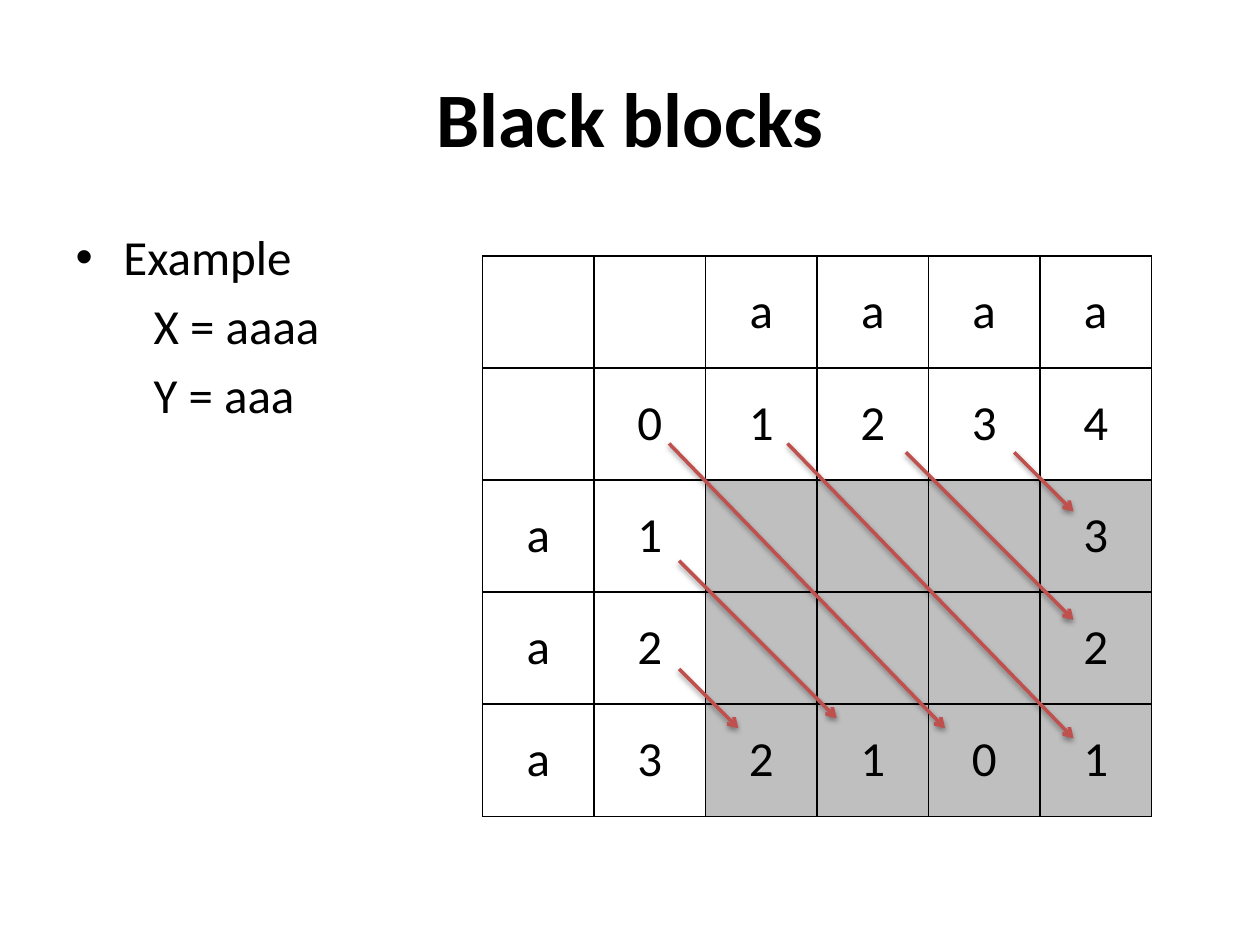
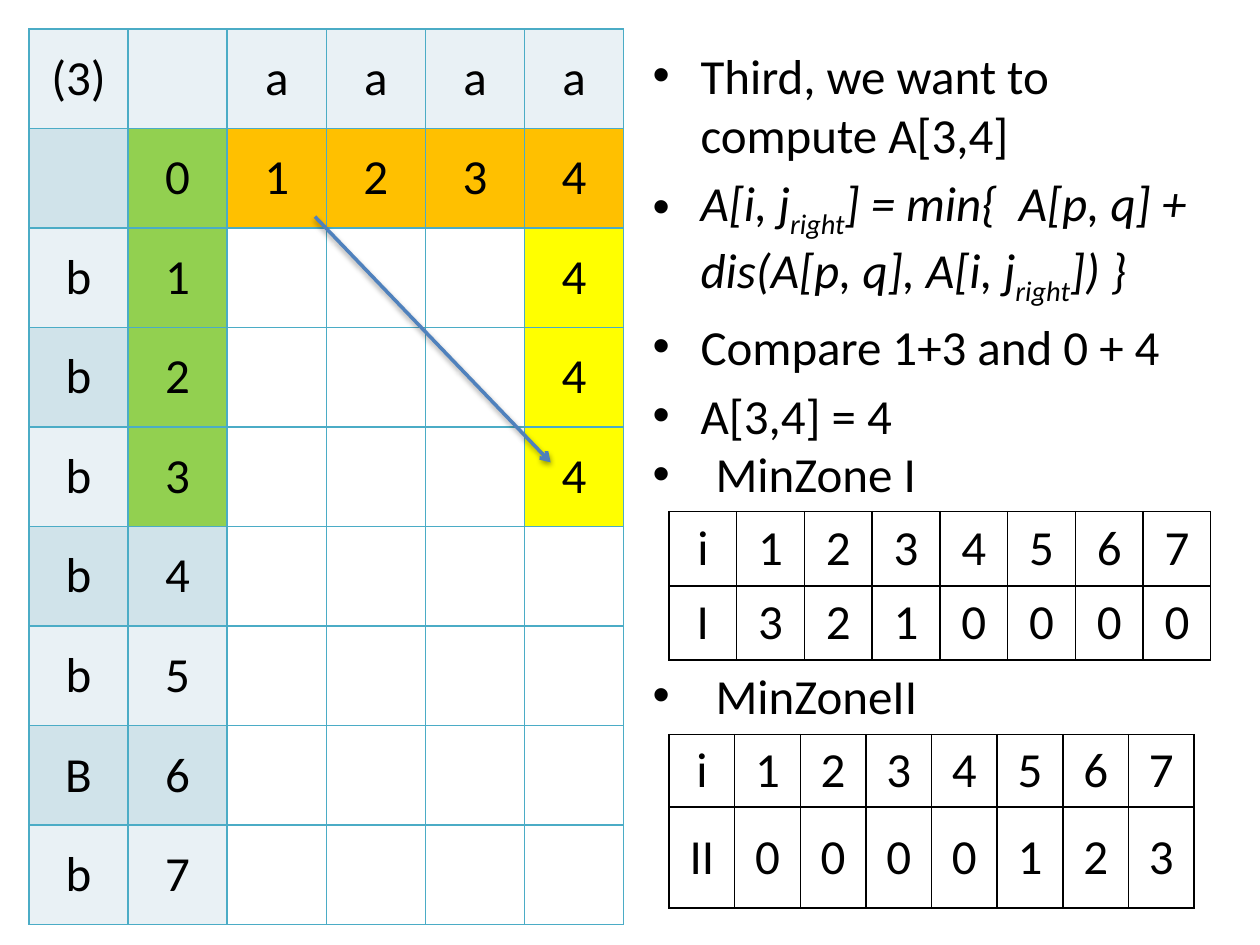
from lxml import etree
from pptx import Presentation
from pptx.dml.color import RGBColor
from pptx.enum.shapes import MSO_CONNECTOR
from pptx.enum.text import MSO_ANCHOR, MSO_AUTO_SIZE, PP_ALIGN
from pptx.oxml import parse_xml
from pptx.oxml.ns import nsdecls, qn
from pptx.util import Inches, Pt

STRAIGHT = MSO_CONNECTOR.STRAIGHT
MIDDLE = MSO_ANCHOR.MIDDLE
TOP = MSO_ANCHOR.TOP
CENTER = PP_ALIGN.CENTER
LEFT = PP_ALIGN.LEFT
FIXED = MSO_AUTO_SIZE.NONE

COLORS = {
    "black": "000000", "white": "FFFFFF", "gray": "BFBFBF",
    "pale": "E9F1F5", "dim": "D0E3EA", "green": "92D050",
    "gold": "FFC000", "yellow": "FFFF00", "teal": "4BACC6",
    "red": "C0504D", "blue": "4F81BD",
}
# Letters used in the fill maps of the tables; a dot means no fill.
FILLS = {"w": "white", "k": "gray", "p": "pale", "d": "dim",
         "g": "green", "o": "gold", "y": "yellow"}
SHADOW = (
    f'<a:effectLst {nsdecls("a")}><a:outerShdw blurRad="40000" dist="20000" '
    'dir="5400000" rotWithShape="0"><a:srgbClr val="000000">'
    '<a:alpha val="38000"/></a:srgbClr></a:outerShdw></a:effectLst>')


def color(name):
    return RGBColor.from_string(COLORS[name])


class Deck:
    font = "Calibri"
    size = 28

    def __init__(self):
        self.prs = Presentation()
        self.prs.slide_width = Inches(10)
        self.prs.slide_height = Inches(7.5)
        self.slide = None

    def add(self):
        self.slide = self.prs.slides.add_slide(self.prs.slide_layouts[1])

    def put(self, par, text, size=None, bold=False, italic=False,
            align=LEFT, sub=False):
        """Append one formatted run to a paragraph."""
        par.alignment = align
        run = par.add_run()
        run.text = text
        font = run.font
        font.name = self.font
        font.size = Pt(size or self.size)
        font.bold, font.italic = bold, italic
        font.color.rgb = color("black")
        if sub:
            font._element.set("baseline", "-25000")

    def place(self, shape, left, top, width, height, anchor):
        shape.left, shape.top = Inches(left), Inches(top)
        shape.width, shape.height = Inches(width), Inches(height)
        frame = shape.text_frame
        frame.word_wrap = True
        frame.auto_size = FIXED
        frame.vertical_anchor = anchor
        return frame

    def title(self, text):
        """Fill the title, or remove it when there is no text."""
        title = self.slide.shapes.title
        if not text:
            title._element.getparent().remove(title._element)
            return
        frame = self.place(title, 0.5, 0.3, 9, 1.25, MIDDLE)
        self.put(frame.paragraphs[0], text, size=44, bold=True, align=CENTER)

    def bullets(self, box, items):
        """Fill the body; an item is (runs, options), runs alternating
        between base line and subscript."""
        frame = self.place(self.slide.placeholders[1], *box, TOP)
        for i, (runs, opts) in enumerate(items):
            par = frame.paragraphs[0] if i == 0 else frame.add_paragraph()
            bullet = opts.get("bullet", True)
            indent = opts.get("indent", 0.38)
            props = par._p.get_or_add_pPr()
            props.set("marL", str(Inches(indent)))
            props.set("indent", str(-Inches(indent) if bullet else 0))
            if not bullet:
                etree.SubElement(props, qn("a:buNone"))
            par.space_before = Pt(opts.get("gap", 5.6) if i else 0)
            for j, text in enumerate(runs):
                self.put(par, text, italic=opts.get("italic", False),
                         sub=j % 2 == 1)

    def table(self, left, top, width, heights, rows, fills=None, edge="black"):
        """Rows are space-separated cells, with "-" for an empty one."""
        grid = [row.split() for row in rows]
        count = len(grid[0])
        table = self.slide.shapes.add_table(
            len(grid), count, Inches(left), Inches(top),
            Inches(width), Inches(sum(heights))).table
        table.first_row = table.horz_banding = False
        for col in table.columns:
            col.width = Inches(width / count)
        for r, line in enumerate(grid):
            table.rows[r].height = Inches(heights[r])
            for c, text in enumerate(line):
                cell = table.cell(r, c)
                self.paint(cell, fills[r][c] if fills else ".", edge)
                if text != "-":
                    cell.vertical_anchor = MIDDLE
                    self.put(cell.text_frame.paragraphs[0], text, align=CENTER)

    def paint(self, cell, code, edge):
        if code == ".":
            cell.fill.background()
        else:
            cell.fill.solid()
            cell.fill.fore_color.rgb = color(FILLS[code])
        props = cell._tc.get_or_add_tcPr()
        for i, side in enumerate("LRTB"):
            props.insert(i, parse_xml(
                f'<a:ln{side} {nsdecls("a")} w="12700"><a:solidFill>'
                f'<a:srgbClr val="{COLORS[edge]}"/></a:solidFill></a:ln{side}>'))

    def arrow(self, x1, y1, x2, y2, tint):
        line = self.slide.shapes.add_connector(
            STRAIGHT, Inches(x1), Inches(y1), Inches(x2), Inches(y2))
        line.line.color.rgb = color(tint)
        line.line.width = Pt(2)
        etree.SubElement(line.line._get_or_add_ln(), qn("a:tailEnd"), type="arrow")
        line._element.spPr.append(parse_xml(SHADOW))


def blocks(deck):
    deck.add()
    deck.title("Black blocks")
    inner = {"bullet": False, "indent": 0.62}
    deck.bullets((0.5, 1.75, 9, 4.95), [
        (["Example"], {}), (["X = aaaa"], inner), (["Y = aaa"], inner)])
    deck.table(3.83, 2.03, 5.31, [0.89] * 5, [
        "- - a a a a",
        "- 0 1 2 3 4",
        "a 1 - - - 3",
        "a 2 - - - 2",
        "a 3 2 1 0 1",
    ], ["wwwwww"] * 2 + ["wwkkkk"] * 3)
    for ends in [(8.05, 3.59, 8.52, 4.06), (7.19, 3.59, 8.52, 4.92),
                 (6.25, 3.52, 8.52, 5.86), (5.31, 3.52, 7.5, 5.78),
                 (5.39, 4.45, 6.64, 5.7), (5.39, 5.31, 5.86, 5.78)]:
        deck.arrow(*ends, "red")


def zones(deck):
    deck.add()
    deck.title(None)
    deck.bullets((5.08, 0.31, 4.69, 6.95), [
        (["Third, we want to compute A[3,4]"], {}),
        (["A[i, j", "right", "] = min{  A[p, q] + dis(A[p, q], A[i, j",
          "right", "]) }"], {"italic": True}),
        (["Compare 1+3 and 0 + 4"], {}),
        (["A[3,4] = 4"], {}),
        (["MinZone I"], {"indent": 0.5, "gap": 0}),
        (["MinZoneII"], {"indent": 0.5, "gap": 93}),
    ])
    deck.table(0.23, 0.23, 4.72, [0.79] * 9, [
        "(3) - a a a a",
        "- 0 1 2 3 4",
        "b 1 - - - 4",
        "b 2 - - - 4",
        "b 3 - - - 4",
        "b 4 - - - -",
        "b 5 - - - -",
        "B 6 - - - -",
        "b 7 - - - -",
    ], ["pppppp", "dgoooo", "pg...y", "dg...y", "pg...y",
        "dd....", "pp....", "dd....", "pp...."], edge="teal")
    deck.arrow(2.5, 1.72, 4.37, 3.67, "blue")
    head = "i 1 2 3 4 5 6 7"
    deck.table(5.31, 4.06, 4.3, [0.59] * 2, [head, "I 3 2 1 0 0 0 0"])
    deck.table(5.31, 5.83, 4.17, [0.57, 0.8], [head, "II 0 0 0 0 1 2 3"])


def main():
    deck = Deck()
    blocks(deck)
    zones(deck)
    deck.prs.save("out.pptx")


if __name__ == "__main__":
    main()
